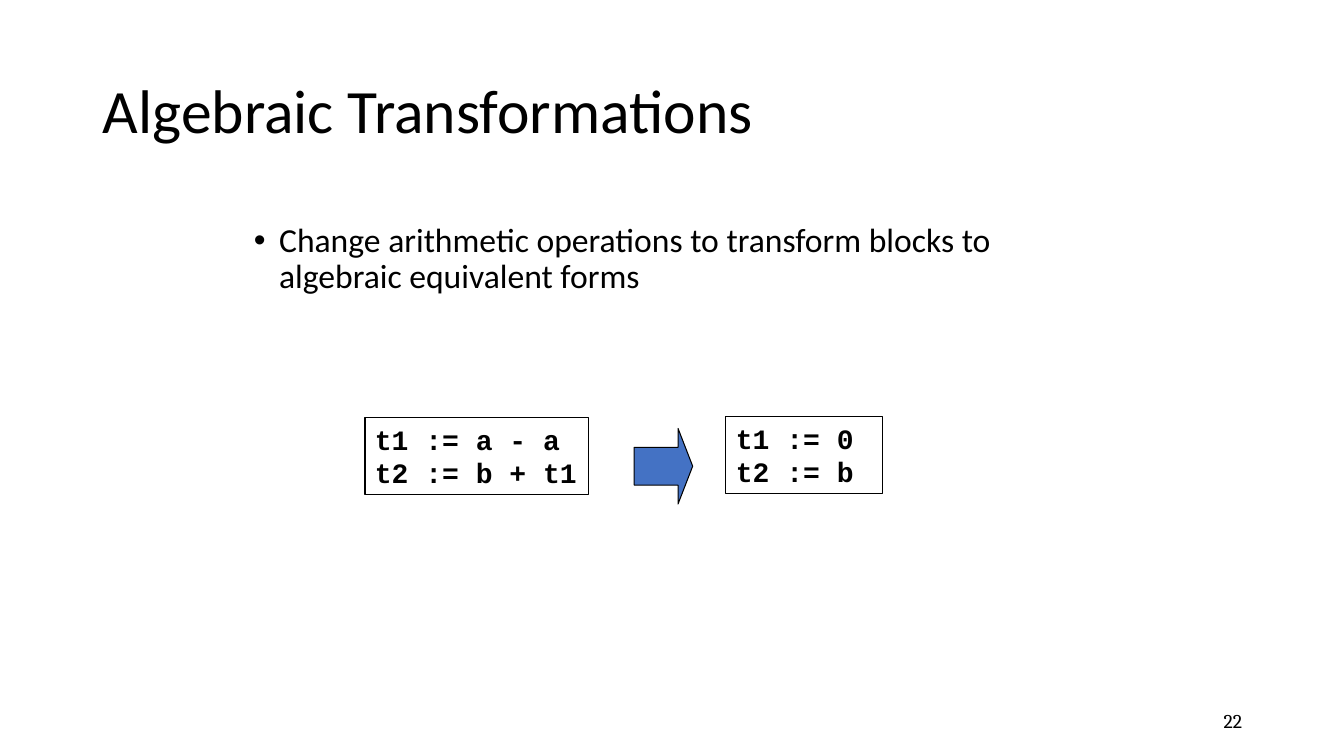
from dataclasses import dataclass

from lxml import etree
from pptx import Presentation
from pptx import util as u
from pptx.dml.color import RGBColor
from pptx.enum import shapes, text
from pptx.oxml.ns import qn

BLACK = "000000"
BLUE = "4472C4"


@dataclass(frozen=True)
class CodeBlock:
    x: int
    y: int
    w: int
    code: str


CODE_BLOCKS = [
    CodeBlock(362, 414, 222, "t1 := a - a\vt2 := b + t1"),
    CodeBlock(720, 413, 155, "t1 := 0\vt2 := b"),
]


def px(n: int) -> u.Emu:
    return u.Emu(n * 9144)


def box(x: int, y: int, w: int, h: int) -> tuple:
    return px(x), px(y), px(w), px(h)


def color(hex_value: str) -> RGBColor:
    return RGBColor.from_string(hex_value)


def write(tf, words: str, font: str, size: int, bold: bool = False):
    tf.word_wrap = True
    tf.auto_size = text.MSO_AUTO_SIZE.NONE
    tf.text = words
    p = tf.paragraphs[0]
    for r in p.runs:
        r.font.name = font
        r.font.size = u.Pt(size)
        r.font.bold = bold
        r.font.color.rgb = color(BLACK)
    return p


def outline(sp) -> None:
    sp.line.color.rgb = color(BLACK)
    sp.line.width = u.Pt(0.75)
    sp.shadow.inherit = False


def add_title(s) -> None:
    title = s.shapes.title
    title.left, title.top, title.width, title.height = box(92, 40, 1150, 145)
    p = write(title.text_frame, "Algebraic Transformations", "Calibri", 44)
    title.text_frame.vertical_anchor = text.MSO_ANCHOR.MIDDLE
    p.alignment = text.PP_ALIGN.LEFT
    p.line_spacing = 0.9


def add_bullet(s) -> None:
    sp = s.shapes.add_textbox(*box(242, 217, 850, 117))
    p = write(
        sp.text_frame,
        "Change arithmetic operations to transform blocks to algebraic equivalent forms",
        "Calibri",
        24,
    )
    p.line_spacing = 0.9
    pPr = p._p.get_or_add_pPr()
    pPr.set("marL", str(px(25)))
    pPr.set("indent", str(px(-25)))
    etree.SubElement(pPr, qn("a:buFont"), typeface="Arial")
    etree.SubElement(pPr, qn("a:buChar"), char="•")


def add_code(s, block: CodeBlock) -> None:
    sp = s.shapes.add_shape(
        shapes.MSO_SHAPE.RECTANGLE, *box(block.x, block.y, block.w, 77)
    )
    sp.fill.background()
    outline(sp)
    p = write(sp.text_frame, block.code, "Courier New", 20, bold=True)
    sp.text_frame.vertical_anchor = text.MSO_ANCHOR.TOP
    p.alignment = text.PP_ALIGN.LEFT


def add_arrow(s) -> None:
    sp = s.shapes.add_shape(shapes.MSO_SHAPE.RIGHT_ARROW, *box(629, 425, 58, 75))
    sp.adjustments[0] = 0.5
    sp.adjustments[1] = 0.25
    sp.fill.solid()
    sp.fill.fore_color.rgb = color(BLUE)
    outline(sp)


def add_page_number(s) -> None:
    sp = s.shapes.add_textbox(*box(942, 695, 300, 40))
    p = write(sp.text_frame, "22", "Cambria", 14)
    sp.text_frame.vertical_anchor = text.MSO_ANCHOR.MIDDLE
    p.alignment = text.PP_ALIGN.RIGHT


def main() -> None:
    prs = Presentation()
    prs.slide_width, prs.slide_height = px(1333), px(750)
    s = prs.slides.add_slide(prs.slide_layouts.get_by_name("Title Only"))
    add_title(s)
    add_bullet(s)
    for block in CODE_BLOCKS:
        add_code(s, block)
    add_arrow(s)
    add_page_number(s)
    prs.save("out.pptx")


if __name__ == "__main__":
    main()
